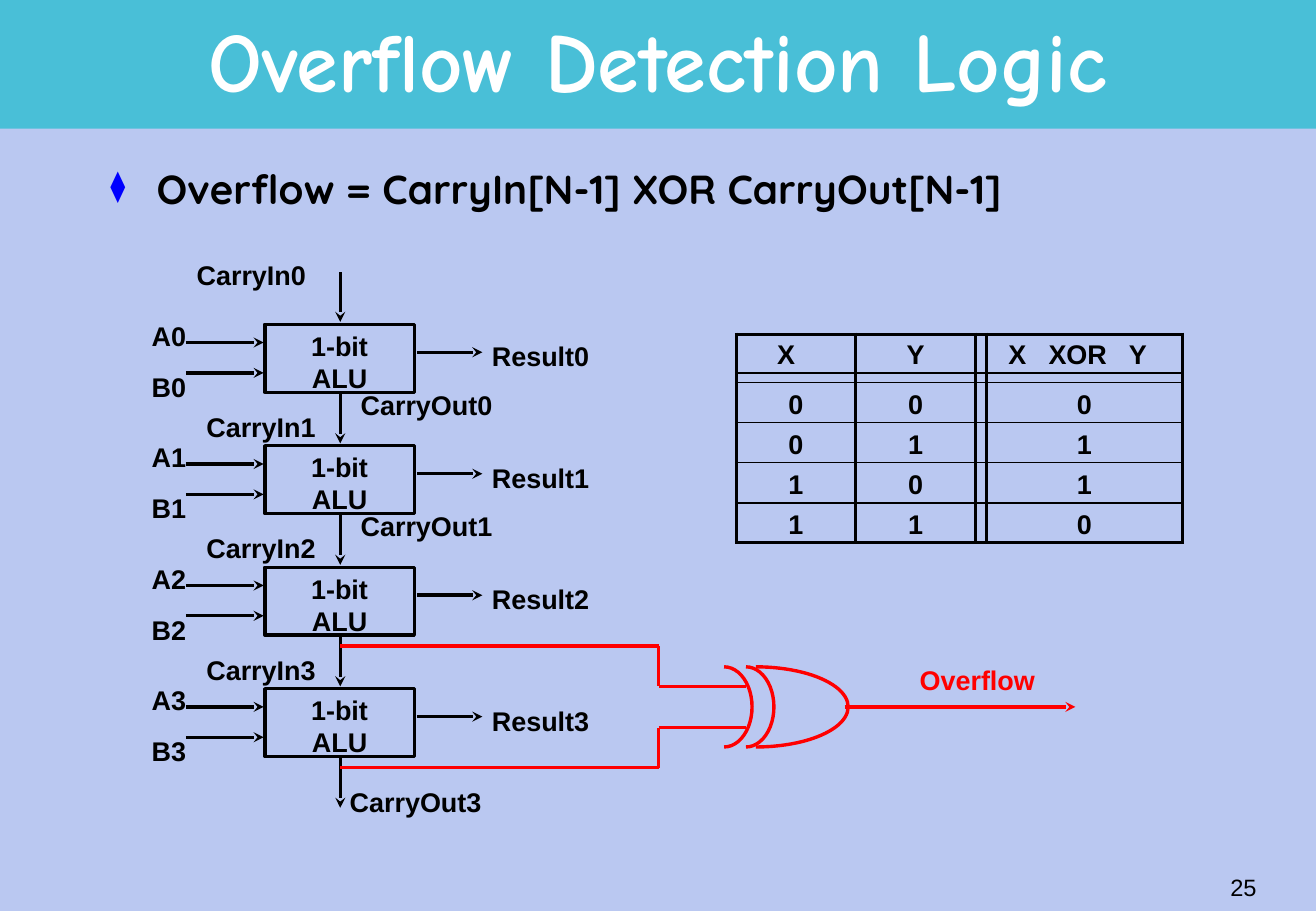
from itertools import pairwise

from lxml import etree
from pptx import Presentation
from pptx.dml.color import RGBColor
from pptx.enum.shapes import MSO_CONNECTOR, MSO_SHAPE
from pptx.enum.text import MSO_ANCHOR, PP_ALIGN
from pptx.oxml.ns import qn
from pptx.util import Inches, Pt

RECTANGLE, ARC = MSO_SHAPE.RECTANGLE, MSO_SHAPE.ARC
STRAIGHT = MSO_CONNECTOR.STRAIGHT
LEFT, CENTER, RIGHT = PP_ALIGN.LEFT, PP_ALIGN.CENTER, PP_ALIGN.RIGHT
TOP, MIDDLE = MSO_ANCHOR.TOP, MSO_ANCHOR.MIDDLE

COLORS = {
    "background": "BAC8F1",
    "banner": "49BFD7",
    "title": "FFFFFF",
    "ink": "000000",
    "overflow": "FF0000",
    "bullet": "0000FF",
}
ALU_COUNT = 4
CARRY_X = 2.8
TRUTH_ROWS = [(0, 0, 0), (0, 1, 1), (1, 0, 1), (1, 1, 0)]


def rgb(name):
    return RGBColor.from_string(COLORS[name])


def add_xml(parent, tag, **attributes):
    return etree.SubElement(parent, qn(tag), **attributes)


def write(frame, text, size=16, font="Arial", color="ink", bold=True,
          align=LEFT, spacing=None, bullet=None, tabs=()):
    """Fill a text frame, one paragraph for each line of the text."""
    for index, line in enumerate(text.split("\n")):
        paragraph = frame.add_paragraph() if index else frame.paragraphs[0]
        paragraph.alignment = align
        if spacing:
            paragraph.line_spacing = spacing
        properties = paragraph._p.get_or_add_pPr()
        if bullet:
            indent = Inches(0.38)
            properties.set("marL", str(indent))
            properties.set("indent", str(-indent))
            add_xml(add_xml(properties, "a:buClr"), "a:srgbClr", val=COLORS["bullet"])
            add_xml(properties, "a:buSzPct", val="75000")
            add_xml(properties, "a:buChar", char=bullet)
        if tabs:
            stops = add_xml(properties, "a:tabLst")
            for position in tabs:
                add_xml(stops, "a:tab", pos=str(Inches(position)), algn="l")
        run = paragraph.add_run()
        run.text = line
        run.font.size = Pt(size)
        run.font.name = font
        run.font.bold = bold
        run.font.color.rgb = rgb(color)


def add_label(slide, text, x, y, width, height=0.37, anchor=TOP, wrap=False, **style):
    frame = slide.shapes.add_textbox(*map(Inches, (x, y, width, height))).text_frame
    frame.word_wrap = wrap
    frame.vertical_anchor = anchor
    write(frame, text, **style)


def add_figure(slide, kind, x, y, width, height, fill=None, line=None):
    figure = slide.shapes.add_shape(kind, *map(Inches, (x, y, width, height)))
    figure.shadow.inherit = False
    if fill:
        figure.fill.solid()
        figure.fill.fore_color.rgb = rgb(fill)
    else:
        figure.fill.background()
    if line:
        figure.line.color.rgb = rgb(line)
        figure.line.width = Pt(2)
    else:
        figure.line.fill.background()
    return figure


def add_wire(slide, *points, color="ink", arrow=False):
    """Join the points with straight segments."""
    for start, end in pairwise(points):
        wire = slide.shapes.add_connector(STRAIGHT, *map(Inches, start + end))
        wire.line.color.rgb = rgb(color)
        wire.line.width = Pt(2)
        properties = wire._element.spPr
        if arrow:
            add_xml(properties.find(qn("a:ln")), "a:tailEnd", type="stealth")
        add_xml(properties, "a:effectLst")


def add_alu(slide, number):
    y = 2.67 + number
    alu = add_figure(slide, RECTANGLE, 2.18, y, 1.23, 0.56, line="ink")
    frame = alu.text_frame
    frame.vertical_anchor = TOP
    frame.margin_top, frame.margin_bottom = Inches(0.04), 0
    write(frame, "1-bit\nALU", align=CENTER)

    add_label(slide, f"A{number}", 1.15, y - 0.09, 0.52)
    add_label(slide, f"B{number}", 1.15, y + 0.33, 0.52)
    for input_y in (y + 0.15, y + 0.4):
        add_wire(slide, (1.53, input_y), (2.17, input_y), arrow=True)
    add_wire(slide, (3.43, y + 0.23), (3.97, y + 0.23), arrow=True)
    add_label(slide, f"Result{number}", 3.95, y + 0.08, 1.09)

    add_wire(slide, (CARRY_X, y - 0.43), (CARRY_X, y - 0.02), arrow=True)
    carry_in = (1.6, y - 0.34) if number else (1.52, y - 0.59)
    add_label(slide, f"CarryIn{number}", *carry_in, 1.19)


def add_overflow_gate(slide):
    middle = 5.82
    for carry_y, input_y in ((5.32, 5.65), (6.32, 5.99)):
        add_wire(slide, (CARRY_X, carry_y), (5.42, carry_y), (5.42, input_y),
                 (6.14, input_y), color="overflow")
    for center_x, radius in ((6.22, 0.76), (6.14, 0.23), (5.96, 0.23)):
        curve = add_figure(slide, ARC, center_x - radius, middle - 0.33,
                           2 * radius, 0.66, line="overflow")
        curve.adjustments[0] = 162  # start at 270 degrees
        curve.adjustments[1] = 54  # end at 90 degrees
    add_wire(slide, (6.95, middle), (8.85, middle), color="overflow", arrow=True)
    add_label(slide, "Overflow", 7.47, 5.41, 1.15, color="overflow")


def set_borders(cell, top, bottom):
    properties = cell._tc.get_or_add_tcPr()
    for side, width in (("L", 2), ("R", 2), ("T", top), ("B", bottom)):
        border = add_xml(properties, f"a:ln{side}", w=str(Pt(width)))
        add_xml(add_xml(border, "a:solidFill"), "a:srgbClr", val=COLORS["ink"])


def add_truth_table(slide):
    """Narrow empty row and column make the double rules."""
    widths = (0.98, 0.99, 0.09, 1.61)
    heights = (0.32, 0.08) + (0.33,) * len(TRUTH_ROWS)
    header = ("X", "Y", "", "X\tXOR\tY")
    body = [(str(x), str(y), "", str(xor)) for x, y, xor in TRUTH_ROWS]
    rows = [header, ("",) * len(widths), *body]
    last = len(rows) - 1
    table = slide.shapes.add_table(
        len(rows), len(widths), Inches(6.06), Inches(2.75),
        Inches(sum(widths)), Inches(sum(heights))).table
    table.first_row = table.horz_banding = False
    for column, width in zip(table.columns, widths):
        column.width = Inches(width)
    for index, (row, height, texts) in enumerate(zip(table.rows, heights, rows)):
        row.height = Inches(height)
        for cell, text in zip(row.cells, texts):
            set_borders(cell, 1 if index else 2, 2 if index == last else 1)
            cell.fill.background()
            cell.margin_left = cell.margin_right = cell.margin_bottom = 0
            cell.margin_top = Inches((0.06 if index else 0.05) if text else 0)
            if "\t" in text:
                cell.margin_left = Inches(0.18)
                write(cell.text_frame, text, tabs=(0.33, 0.99))
            elif text:
                cell.margin_right = Inches(0.16 if text == "X" else 0)
                write(cell.text_frame, text, align=CENTER)
            else:
                add_xml(cell.text_frame.paragraphs[0]._p, "a:endParaRPr", sz="100")


def main():
    deck = Presentation()
    deck.slide_width, deck.slide_height = Inches(10.83), Inches(7.5)
    slide = deck.slides.add_slide(deck.slide_layouts[6])
    slide.background.fill.solid()
    slide.background.fill.fore_color.rgb = rgb("background")

    add_figure(slide, RECTANGLE, 0, 0, 10.83, 1.06, fill="banner")
    add_label(slide, "Overflow Detection Logic", 0.81, 0.05, 9.21, 0.99, anchor=MIDDLE,
              wrap=True, size=50, font="Comic Neue", color="title", align=CENTER,
              spacing=0.85)
    add_label(slide, "Overflow = CarryIn[N-1] XOR CarryOut[N-1]", 0.81, 1.35, 9.21, 0.6,
              wrap=True, size=24, font="Quicksand", spacing=0.9, bullet="⧫")

    for number in range(ALU_COUNT):
        add_alu(slide, number)
    for number in (0, 1):
        add_label(slide, f"CarryOut{number}", 2.87, 3.15 + number, 1.4)
    add_wire(slide, (CARRY_X, 6.24), (CARRY_X, 6.65), arrow=True)
    add_label(slide, "CarryOut3", 2.78, 6.42, 1.4)

    add_overflow_gate(slide)
    add_truth_table(slide)
    add_label(slide, "25", 8.18, 7.1, 2.26, 0.4, anchor=MIDDLE, wrap=True,
              size=14, bold=False, align=RIGHT)
    deck.save("out.pptx")


if __name__ == "__main__":
    main()
